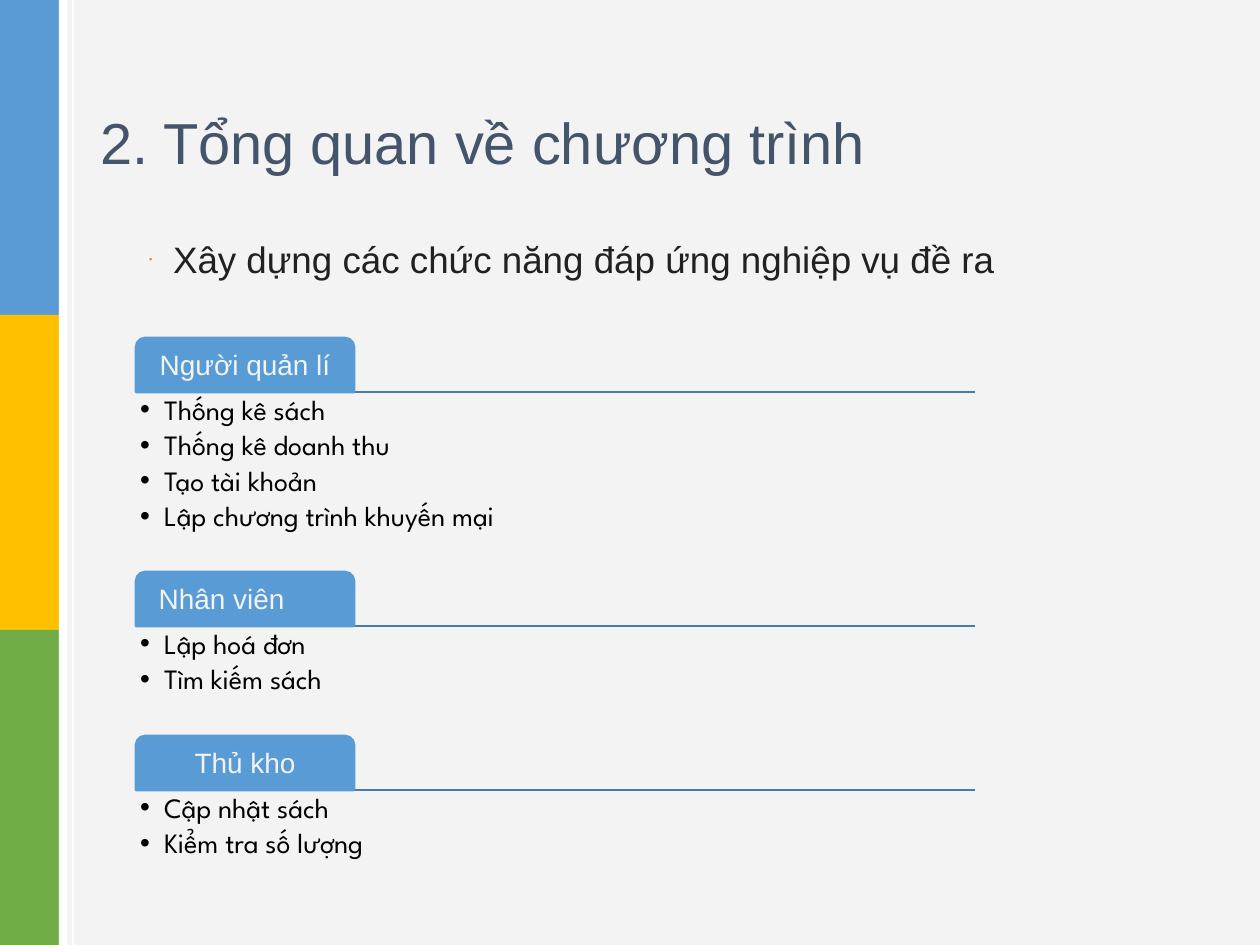
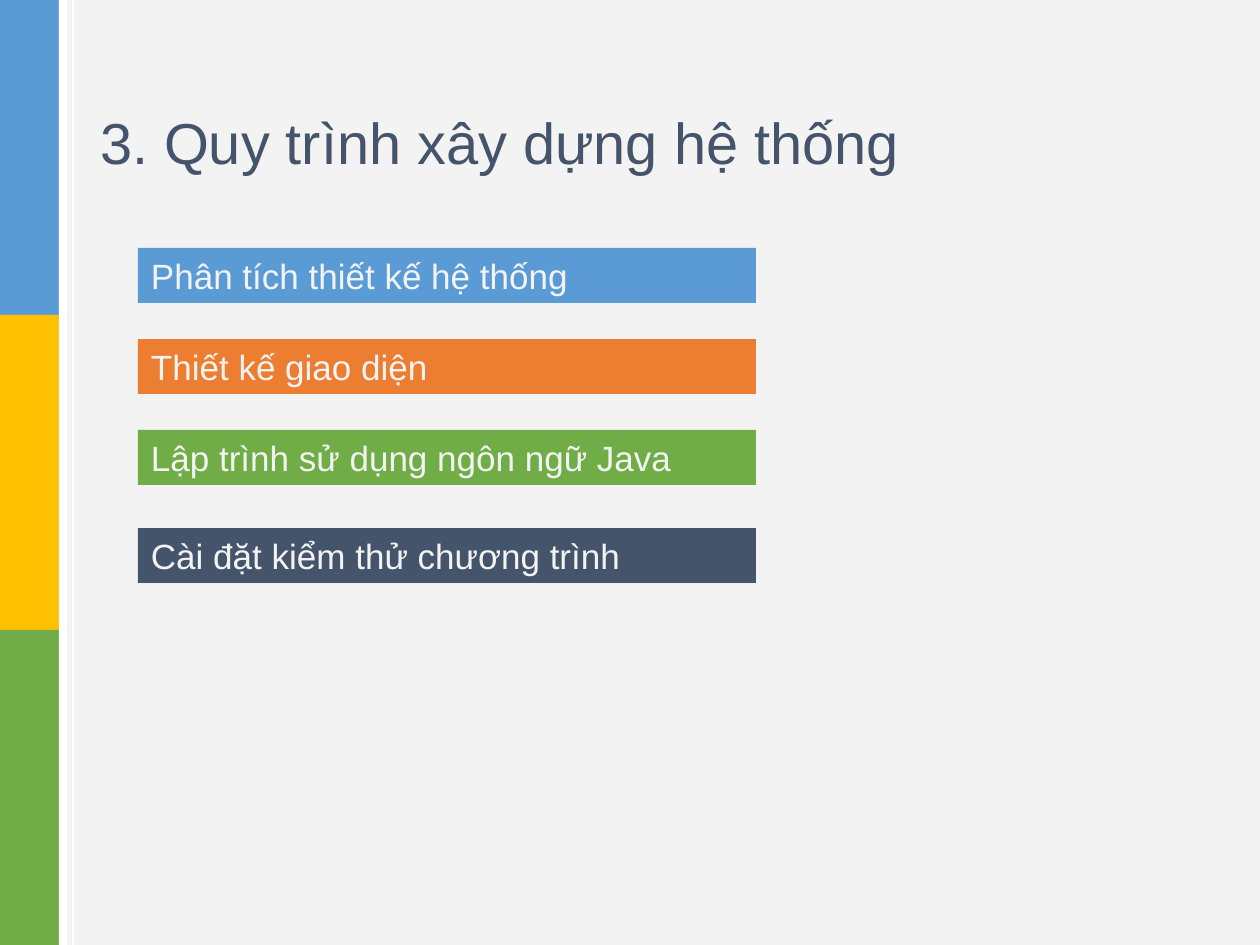
from lxml.etree import SubElement
from pptx import Presentation
from pptx.dml.color import RGBColor
from pptx.enum.shapes import MSO_CONNECTOR, MSO_SHAPE
from pptx.enum.text import MSO_ANCHOR, MSO_AUTO_SIZE, PP_ALIGN
from pptx.oxml.ns import qn
from pptx.util import Emu, Pt

BLUE = RGBColor(0x5B, 0x9B, 0xD5)
TAB_BLUE = RGBColor(0x59, 0x9B, 0xD5)
RULE_BLUE = RGBColor(0x47, 0x7B, 0xA9)
YELLOW = RGBColor(0xFF, 0xC0, 0x00)
GREEN = RGBColor(0x70, 0xAD, 0x47)
ORANGE = RGBColor(0xED, 0x7D, 0x31)
NAVY = RGBColor(0x44, 0x54, 0x6A)
PALE = RGBColor(0xF3, 0xF3, 0xF3)
WHITE = RGBColor(0xFF, 0xFF, 0xFF)
BLACK = RGBColor(0, 0, 0)
INK = RGBColor(0x21, 0x21, 0x21)

PX_PER_INCH = 126
WIDTH, HEIGHT = 1260, 945

OVERVIEW_TITLE = "2. Tổng quan về chương trình"
OVERVIEW_GOAL = "Xây dựng các chức năng đáp ứng nghiệp vụ đề ra"
# Role, left indent of its label (None = centred), duties
ROLES = [
    ("Người quản lí", None, ["Thống kê sách", "Thống kê doanh thu", "Tạo tài khoản",
                             "Lập chương trình khuyến mại"]),
    ("Nhân viên", 16, ["Lập hoá đơn", "Tìm kiếm sách"]),
    ("Thủ kho", None, ["Cập nhật sách", "Kiểm tra số lượng"]),
]

PROCESS_TITLE = "3. Quy trình xây dựng hệ thống"
# Step, top, colour
STEPS = [
    ("Phân tích thiết kế hệ thống", 248, BLUE),
    ("Thiết kế giao diện", 339, ORANGE),
    ("Lập trình sử dụng ngôn ngữ Java", 430, GREEN),
    ("Cài đặt kiểm thử chương trình", 528, NAVY),
]

BAND_COLOURS = [BLUE, YELLOW, GREEN]
BAND_WIDTH, BAND_HEIGHT = 59, HEIGHT // len(BAND_COLOURS)

ROLE_LEFT, ROLE_TOP, ROLE_WIDTH = 136, 338, 839
TAB_WIDTH, TAB_HEIGHT = 218, 54
DUTY_HEIGHT, ROLE_GAP = 35, 40


def px(length):
    return Emu(round(length * 914400 / PX_PER_INCH))


def place(shape, *box):
    shape.left, shape.top, shape.width, shape.height = map(px, box)
    return shape


def add_block(slide, box, colour, preset=MSO_SHAPE.RECTANGLE, outline=None):
    block = slide.shapes.add_shape(preset, *map(px, box))
    block.shadow.inherit = False
    block.fill.solid()
    block.fill.fore_color.rgb = colour
    if outline:
        block.line.color.rgb = outline
        block.line.width = Pt(1.5)
    else:
        block.line.fill.background()
    return block


def add_bullet(paragraph, char, colour, percent):
    props = paragraph._p.get_or_add_pPr()
    props.set("marL", str(px(24)))
    props.set("indent", str(px(-24)))
    colour_holder = SubElement(props, qn("a:buClr"))
    SubElement(colour_holder, qn("a:srgbClr"), val=str(colour))
    SubElement(props, qn("a:buSzPct"), val=str(percent * 1000))
    SubElement(props, qn("a:buFont"), typeface="Arial")
    SubElement(props, qn("a:buChar"), char=char)


def write(shape, *lines, size, colour, font="Arial", align=PP_ALIGN.LEFT, anchor=MSO_ANCHOR.TOP,
          inset=(13, 6), spacing=1.0, after=0, bullet=None, indent=None):
    frame = shape.text_frame
    frame.word_wrap = True
    frame.auto_size = MSO_AUTO_SIZE.NONE
    frame.vertical_anchor = anchor
    frame.margin_left = frame.margin_right = px(inset[0])
    frame.margin_top = frame.margin_bottom = px(inset[1])
    for index, line in enumerate(lines):
        paragraph = frame.add_paragraph() if index else frame.paragraphs[0]
        if bullet:
            add_bullet(paragraph, *bullet)
        if indent:
            paragraph._p.get_or_add_pPr().set("marL", str(px(indent)))
        paragraph.alignment = align
        paragraph.line_spacing = spacing
        paragraph.space_before = Pt(0)
        paragraph.space_after = Pt(after)
        run = paragraph.add_run()
        run.text = line
        run.font.name = font
        run.font.size = Pt(size)
        run.font.color.rgb = colour


def add_titled_slide(deck, layout, title):
    slide = deck.slides.add_slide(deck.slide_layouts[layout])
    write(place(slide.shapes.title, 87, 50, 1087, 183), title,
          size=33, colour=NAVY, anchor=MSO_ANCHOR.MIDDLE)
    return slide


def decorate_master(deck, slide):
    """Draw the shared backdrop on a slide, then move it to the back of the master."""
    backdrop = [add_block(slide, (0, 0, WIDTH, HEIGHT), PALE)]
    for row, colour in enumerate(BAND_COLOURS):
        backdrop.append(add_block(slide, (0, row * BAND_HEIGHT, BAND_WIDTH, BAND_HEIGHT), colour))
    backdrop.append(add_block(slide, (BAND_WIDTH, 0, 15, HEIGHT), WHITE))
    backdrop.append(add_block(slide, (67, 0, 5, HEIGHT), PALE))
    for depth, block in enumerate(backdrop, start=2):
        deck.slide_master.shapes.element.insert(depth, block.element)


def add_role(slide, top, role, label_indent, duties):
    base = top + TAB_HEIGHT
    rule = slide.shapes.add_connector(MSO_CONNECTOR.STRAIGHT, px(ROLE_LEFT), px(base),
                                      px(ROLE_LEFT + ROLE_WIDTH), px(base))
    rule.line.color.rgb = RULE_BLUE
    rule.line.width = Pt(1.5)
    SubElement(rule.element.spPr, qn("a:effectLst"))

    tab = add_block(slide, (ROLE_LEFT, top, TAB_WIDTH, TAB_HEIGHT), TAB_BLUE,
                    MSO_SHAPE.ROUND_2_SAME_RECTANGLE, TAB_BLUE)
    write(tab, role, size=16, colour=PALE, anchor=MSO_ANCHOR.MIDDLE, inset=(4, 4), spacing=0.9,
          align=PP_ALIGN.LEFT if label_indent else PP_ALIGN.CENTER, indent=label_indent)

    list_height = DUTY_HEIGHT * len(duties) + ROLE_GAP
    duty_list = slide.shapes.add_textbox(
        *map(px, (ROLE_LEFT, base, ROLE_WIDTH, list_height - 4)))
    write(duty_list, *duties, size=16, colour=BLACK, font="League Spartan", inset=(4, 4),
          spacing=0.9, after=3, bullet=("•", BLACK, 100))
    return base + list_height


def build_overview(deck):
    slide = add_titled_slide(deck, 1, OVERVIEW_TITLE)
    write(place(slide.placeholders[1], 136, 236, 910, 597), OVERVIEW_GOAL,
          size=21, colour=INK, spacing=0.9, bullet=("▪", ORANGE, 25))
    top = ROLE_TOP
    for role in ROLES:
        top = add_role(slide, top, *role)
    return slide


def build_process(deck):
    slide = add_titled_slide(deck, 5, PROCESS_TITLE)
    for step, top, colour in STEPS:
        write(add_block(slide, (138, top, 618, 55), colour), step, size=20, colour=PALE)


def main():
    deck = Presentation()
    deck.slide_width, deck.slide_height = px(WIDTH), px(HEIGHT)
    decorate_master(deck, build_overview(deck))
    build_process(deck)
    deck.save("out.pptx")


if __name__ == "__main__":
    main()
